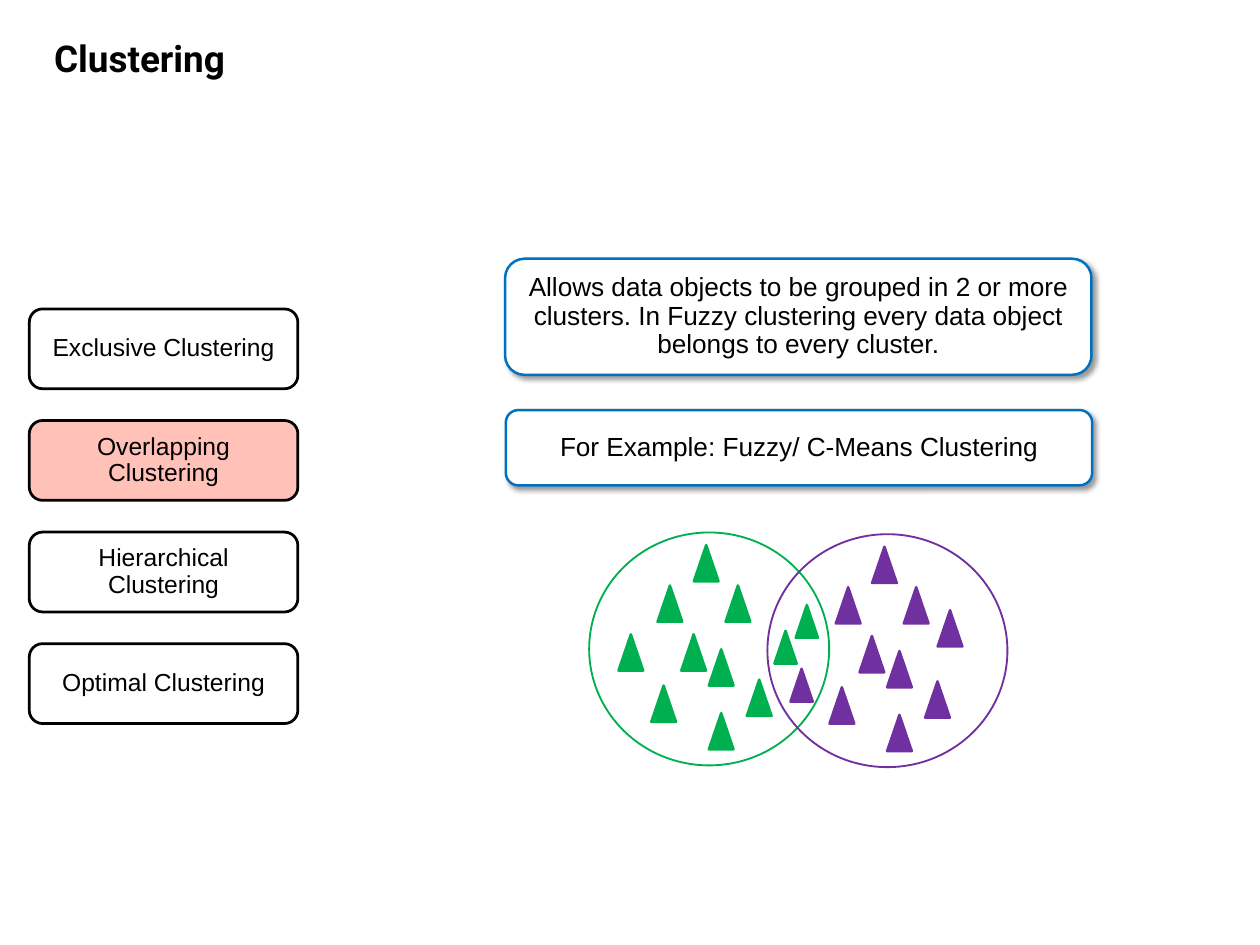
from dataclasses import dataclass

from lxml import etree
from pptx import Presentation
from pptx import util as u
from pptx.dml.color import RGBColor
from pptx.enum import shapes, text
from pptx.oxml.ns import qn


@dataclass(frozen=True)
class Theme:
    """Colours, fonts and type sizes of the slide."""
    black: str = "000000"
    white: str = "FFFFFF"
    highlight: str = "FFC1B8"
    blue: str = "0070C0"
    green: str = "00B050"
    purple: str = "7030A0"
    title_font: str = "Roboto"
    body_font: str = "Arial"
    title_size: float = 30
    method_size: float = 20
    card_size: float = 21.3


THEME = Theme()
METHODS = ["Exclusive Clustering", "Overlapping Clustering",
           "Hierarchical Clustering", "Optimal Clustering"]
CURRENT_METHOD = "Overlapping Clustering"
DEFINITION = ("Allows data objects to be grouped in 2 or more clusters. "
              "In Fuzzy clustering every data object belongs to every cluster.")
EXAMPLE = "For Example: Fuzzy/ C-Means Clustering"

CIRCLE_SIZE = (6.88, 6.68)
POINT_SIZE = (0.71, 1.04)
SHARED_POINT_SIZE = (0.64, 0.94)
COMMON_POINTS = [(1.96, 1.52), (3.91, 1.52), (3.43, 3.35), (2.64, 2.92),
                 (1.78, 4.39), (3.43, 5.18), (4.52, 4.22), (3, 0.36)]


def write_text(shape, content, font_name, size, bold=False, alignment=None):
    """Put one formatted paragraph into a shape."""
    frame = shape.text_frame
    frame.word_wrap = True
    paragraph = frame.paragraphs[0]
    paragraph.text = content
    paragraph.alignment = alignment
    paragraph.line_spacing = 0.9
    paragraph.font.name = font_name
    paragraph.font.size = u.Pt(size)
    paragraph.font.bold = bold
    paragraph.font.color.rgb = RGBColor.from_string(THEME.black)


def add_figure(parent, kind, position, size, line, line_width, fill=None):
    """Add a preset shape with a plain outline and an optional fill."""
    shape = parent.shapes.add_shape(kind, *map(u.Cm, (*position, *size)))
    shape.shadow.inherit = False
    if fill:
        shape.fill.solid()
        shape.fill.fore_color.rgb = RGBColor.from_string(fill)
    else:
        shape.fill.background()
    shape.line.color.rgb = RGBColor.from_string(line)
    shape.line.width = u.Pt(line_width)
    return shape


def add_box(slide, content, position, size, font_size, line, line_width, fill):
    """Add a rounded box with centred text."""
    box = add_figure(slide, shapes.MSO_SHAPE.ROUNDED_RECTANGLE, position, size,
                     line, line_width, fill)
    box.text_frame.vertical_anchor = text.MSO_ANCHOR.MIDDLE
    write_text(box, content, THEME.body_font, font_size,
               alignment=text.PP_ALIGN.CENTER)
    return box


def add_shadow(shape):
    """Give a shape a soft shadow to the lower right."""
    effects = shape._element.spPr.find(qn("a:effectLst"))
    shadow = etree.SubElement(effects, qn("a:outerShdw"), blurRad=str(u.Pt(4)),
                              dist=str(u.Pt(3)), dir=str(45 * 60000),
                              algn="tl", rotWithShape="0")
    colour = etree.SubElement(shadow, qn("a:srgbClr"), val=THEME.black)
    etree.SubElement(colour, qn("a:alpha"), val="40000")


def add_card(slide, content, position, size):
    """Add a blue explanation card with a shadow."""
    add_shadow(add_box(slide, content, position, size, THEME.card_size,
                       THEME.blue, 2, THEME.white))


def add_cluster(slide, position, colour, own_point, shared_points):
    """Add a circle with its data points, placed relative to the circle."""
    group = slide.shapes.add_group_shape()
    add_figure(group, shapes.MSO_SHAPE.OVAL, position, CIRCLE_SIZE, colour, 1.5)
    points = [(point, POINT_SIZE) for point in [*COMMON_POINTS, own_point]]
    points += [(point, SHARED_POINT_SIZE) for point in shared_points]
    for (x, y), size in points:
        add_figure(group, shapes.MSO_SHAPE.ISOSCELES_TRIANGLE,
                   (position[0] + x, position[1] + y), size, colour, 2, colour)


def add_title(slide, content):
    """Add the slide title."""
    title = slide.shapes.add_textbox(*map(u.Cm, (1.3, 1.04, 18.64, 1.42)))
    write_text(title, content, THEME.title_font, THEME.title_size, bold=True)


def main():
    """Build the slide and save it."""
    presentation = Presentation()
    presentation.slide_width = u.Cm(36.12)
    presentation.slide_height = u.Cm(27.1)
    slide = presentation.slides.add_slide(presentation.slide_layouts[6])
    add_title(slide, "Clustering")
    for row, method in enumerate(METHODS):
        fill = THEME.highlight if method == CURRENT_METHOD else THEME.white
        add_box(slide, method, (0.84, 8.86 + row * 3.2), (7.7, 2.29),
                THEME.method_size, THEME.black, 2.25, fill)
    add_card(slide, DEFINITION, (14.48, 7.42), (16.81, 3.33))
    add_card(slide, EXAMPLE, (14.5, 11.76), (16.81, 2.16))
    add_cluster(slide, (16.89, 15.27), THEME.green, (0.84, 2.92),
                [(5.92, 2.08), (5.31, 2.82)])
    add_cluster(slide, (22, 15.32), THEME.purple, (4.88, 2.18), [(0.66, 3.86)])
    presentation.save("out.pptx")


if __name__ == "__main__":
    main()
